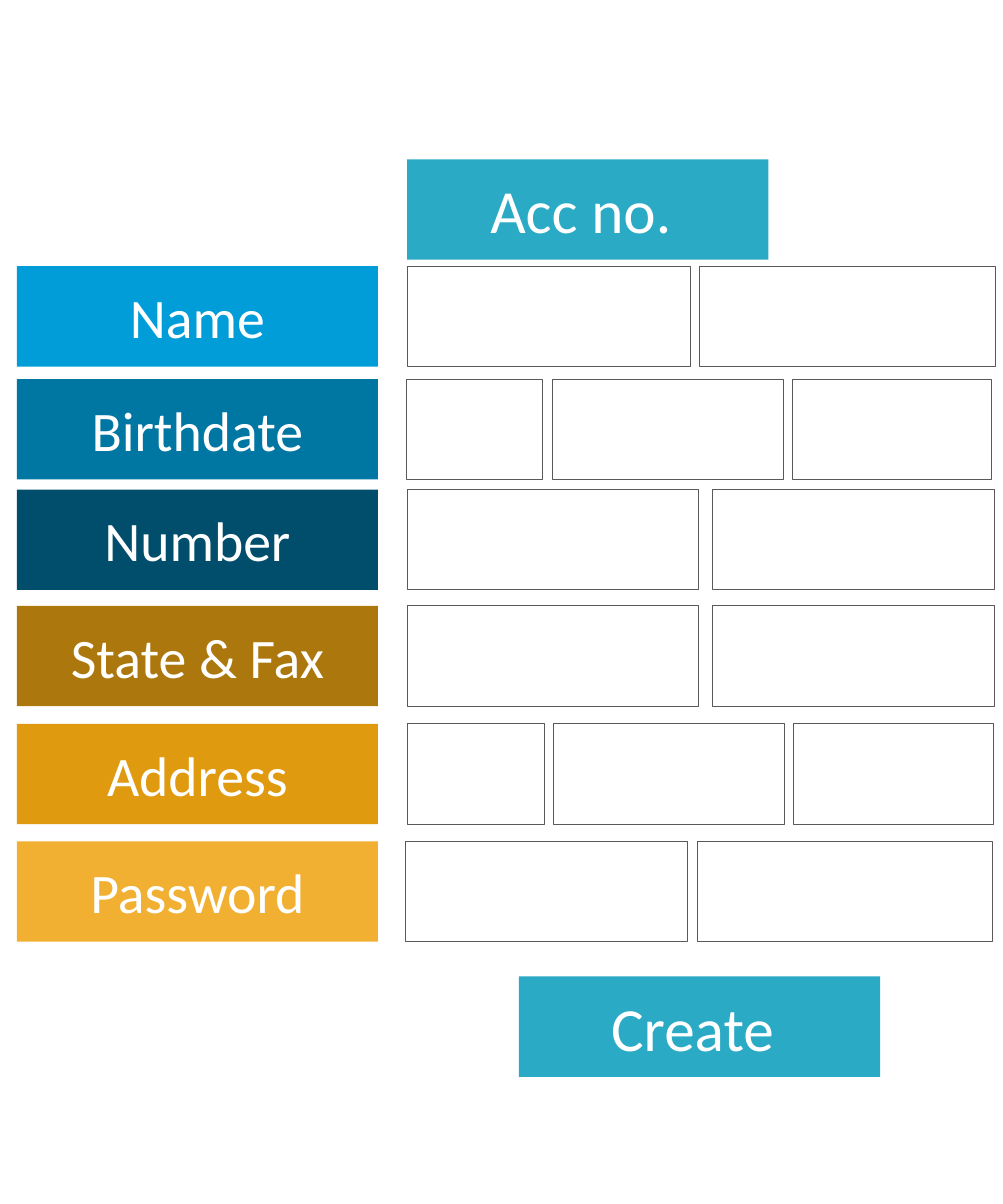
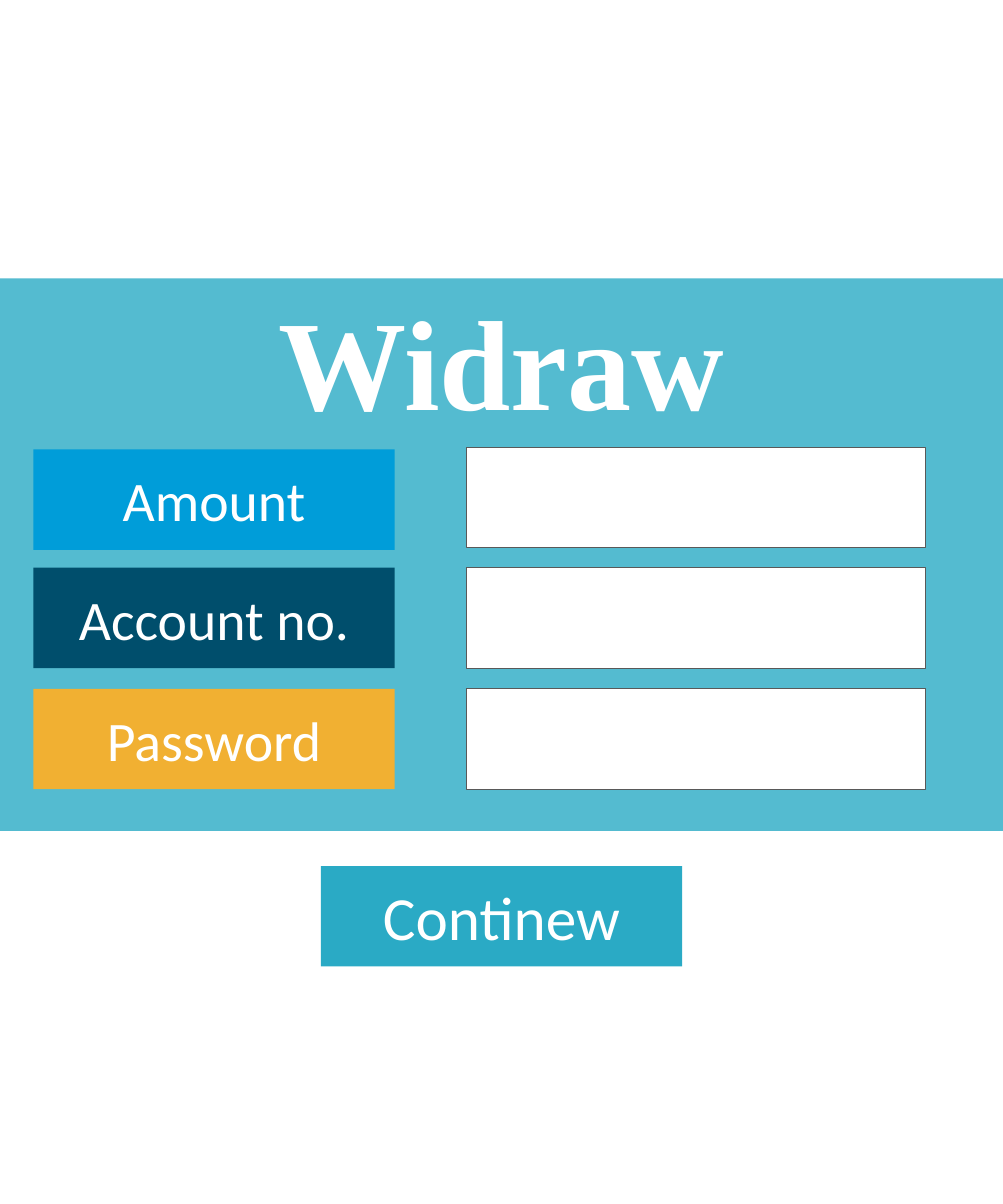
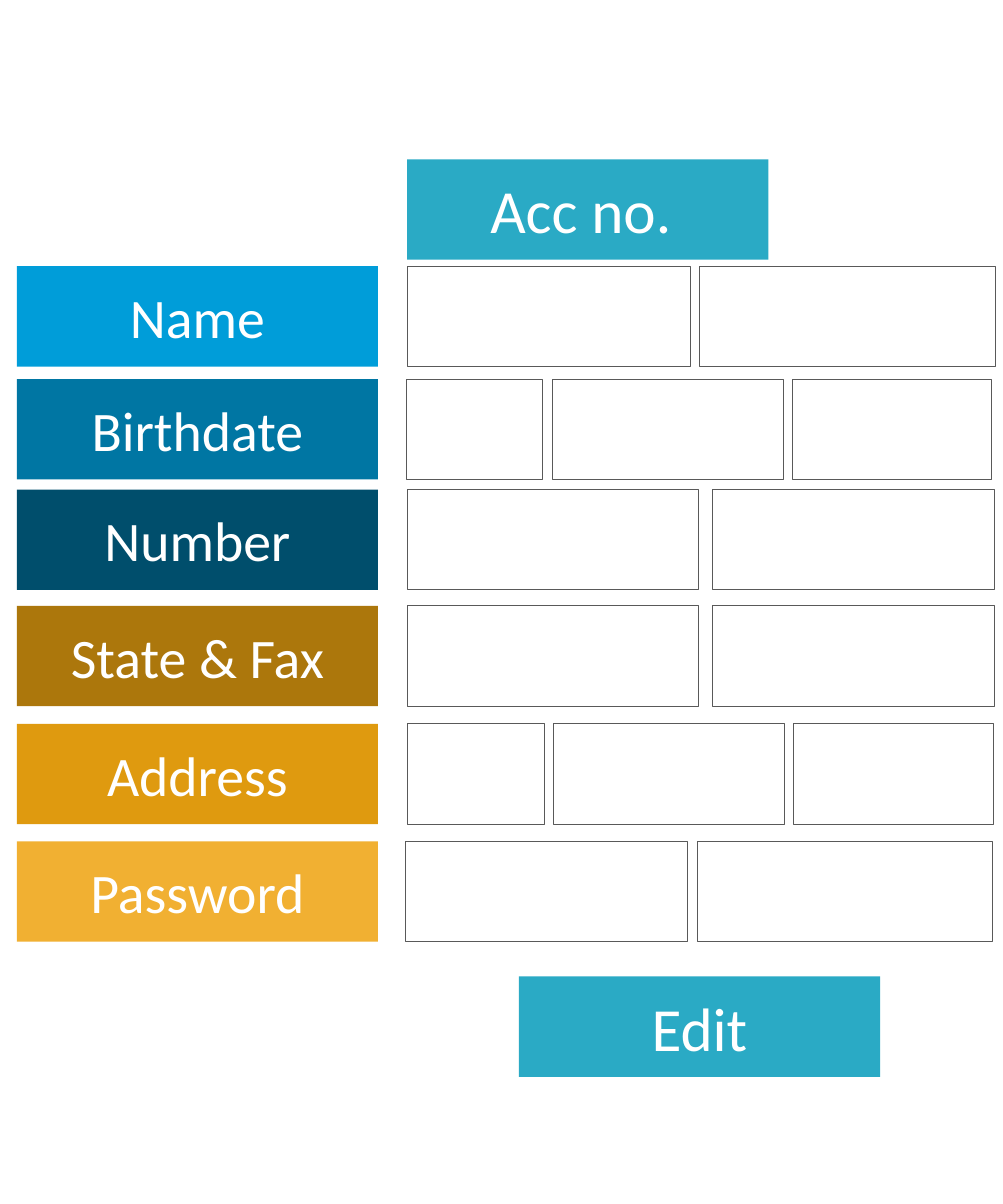
from dataclasses import dataclass

from lxml import etree
from pptx import Presentation
from pptx.dml.color import RGBColor
from pptx.enum.shapes import MSO_SHAPE
from pptx.enum.text import MSO_ANCHOR, PP_ALIGN
from pptx.oxml.ns import qn
from pptx.util import Cm, Pt

RECTANGLE = MSO_SHAPE.RECTANGLE
MIDDLE = MSO_ANCHOR.MIDDLE
CENTER = PP_ALIGN.CENTER


@dataclass(frozen=True)
class Theme:
    white: str = "FFFFFF"
    outline: str = "595959"
    teal: str = "2AAAC5"
    blue: str = "009DD9"
    mid_blue: str = "0076A3"
    dark_blue: str = "004E6C"
    brown: str = "AC770C"
    amber: str = "DF9A0F"
    yellow: str = "F1B032"
    body_font: str = "Calibri"
    title_font: str = "Times New Roman"
    label_size: int = 60
    button_size: int = 66
    title_size: int = 138


THEME = Theme()
PAGE_WIDTH, PAGE_HEIGHT = 38.1, 45.72
LABEL_WIDTH, ROW_HEIGHT = 13.72, 3.81


def write(box, text, size, font, bold=False):
    """Put one centred white line of text into a box."""
    frame = box.text_frame
    frame.text = text
    frame.word_wrap = True
    frame.vertical_anchor = MIDDLE
    para = frame.paragraphs[0]
    para.alignment = CENTER
    span = para.runs[0]
    span.font.size = Pt(size)
    span.font.name = font
    span.font.bold = bold
    span.font.color.rgb = RGBColor.from_string(THEME.white)


def add_box(page, left, top, width=LABEL_WIDTH, height=ROW_HEIGHT,
            fill=THEME.white, text=None, size=THEME.label_size):
    """Add a filled rectangle; white ones are outlined as entry fields."""
    box = page.shapes.add_shape(RECTANGLE, Cm(left), Cm(top), Cm(width), Cm(height))
    box.shadow.inherit = False
    box.fill.solid()
    box.fill.fore_color.rgb = RGBColor.from_string(fill)
    if fill == THEME.white:
        box.line.color.rgb = RGBColor.from_string(THEME.outline)
        box.line.width = Pt(1)
    else:
        box.line.fill.background()
    if text:
        write(box, text, size, THEME.body_font)
    return box


deck = Presentation()
deck.slide_width = Cm(PAGE_WIDTH)
deck.slide_height = Cm(PAGE_HEIGHT)
blank = deck.slide_layouts[6]
create_page, withdraw_page, edit_page = [deck.slides.add_slide(blank) for _ in range(3)]

# Account forms: label, colour, top, left of the first field, field widths, gap
pair, even_pair, trio = (10.74, 11.23), (11.05, 10.74), (5.18, 8.79, 7.57)
account_rows = [
    ("Name", THEME.blue, 10.11, 15.49, pair, 0.35),
    ("Birthdate", THEME.mid_blue, 14.4, 15.44, trio, 0.35),
    ("Number", THEME.dark_blue, 18.59, 15.49, even_pair, 0.51),
    ("State & Fax", THEME.brown, 23.01, 15.49, even_pair, 0.51),
    ("Address", THEME.amber, 27.49, 15.49, trio, 0.35),
    ("Password", THEME.yellow, 31.95, 15.39, pair, 0.35),
]
for page, action in ((create_page, "Create "), (edit_page, "Edit")):
    for label, colour, top, field_left, widths, gap in account_rows:
        add_box(page, 0.64, top, fill=colour, text=label)
        for width in widths:
            add_box(page, field_left, top, width)
            field_left += width + gap
    add_box(page, 19.71, 37.08, fill=THEME.teal, text=action, size=THEME.button_size)
    add_box(page, 15.47, 6.05, fill=THEME.teal, text="Acc no. ", size=THEME.button_size)

# Withdrawal form on a translucent band
band = add_box(withdraw_page, 0, 10.57, PAGE_WIDTH, 20.98, THEME.teal)
band_colour = band.fill._xPr.find(qn("a:solidFill"))[0]
etree.SubElement(band_colour, qn("a:alpha")).set("val", "80000")

withdraw_rows = [
    ("Amount", THEME.blue, 17.07, 16.99),
    ("Account no.", THEME.dark_blue, 21.56, 21.56),
    ("Password", THEME.yellow, 26.16, 26.16),
]
for label, colour, label_top, field_top in withdraw_rows:
    add_box(withdraw_page, 1.27, label_top, fill=colour, text=label)
    add_box(withdraw_page, 17.73, field_top, 17.42)

add_box(withdraw_page, (PAGE_WIDTH - LABEL_WIDTH) / 2, 32.89, fill=THEME.teal,
        text="Continew", size=THEME.button_size)
title = withdraw_page.shapes.add_textbox(Cm(8.13), Cm(11.15), Cm(21.84), Cm(4.95))
write(title, "Widraw", THEME.title_size, THEME.title_font, bold=True)

deck.save("out.pptx")
